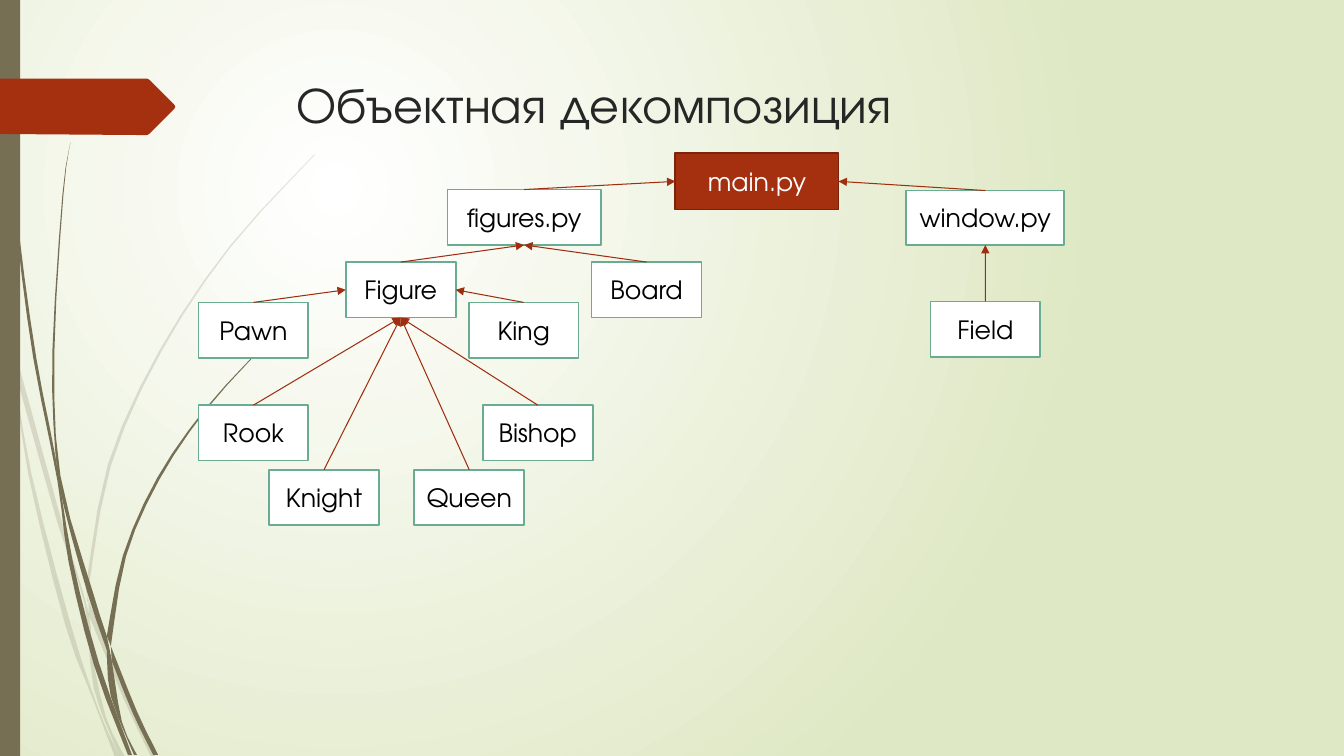
from lxml.etree import SubElement
from pptx import Presentation
from pptx.dml.color import RGBColor
from pptx.enum.shapes import MSO_CONNECTOR as Connector, MSO_SHAPE as Preset
from pptx.enum.text import MSO_ANCHOR as Anchor, PP_ALIGN as Align
from pptx.oxml.ns import qn
from pptx.util import Pt

COLORS = {
    "white": "FFFFFF", "green": "DFE8C4", "olive": "766F54", "red": "A53010",
    "dark red": "7A240C", "arrow": "9E2E0F", "teal": "6AAC91",
    "title": "262626", "black": "000000",
}
FONT = "TeX Gyre Adventor"
TITLE = "Объектная декомпозиция"

# Class boxes share one size: name -> (left, top) in points
BOX_SIZE = (78.5, 39.6)
CLASSES = {
    "Figure": (247, 187.2), "King": (334.8, 216), "Rook": (141.8, 289.4),
    "Pawn": (141.8, 216), "Bishop": (344.9, 289.4), "Knight": (192.2, 335.5),
    "Queen": (295.9, 335.5), "Board": (422.6, 187.2), "Field": (664.6, 215.3),
}
# Modules: name -> (left, top, width, height) in points
MODULES = {
    "figures.py": (319.7, 135.4, 109.4, 39.6),
    "window.py": (647.3, 136.1, 113, 38.9),
    "main.py": (482.4, 109.4, 116.6, 40.3),
}
# Every arrow leaves the top of a box: (from, to, side of the target)
LEFT, BOTTOM, RIGHT = 1, 2, 3
ARROWS = [
    ("Pawn", "Figure", LEFT), ("Queen", "Figure", BOTTOM),
    ("King", "Figure", RIGHT), ("Rook", "Figure", BOTTOM),
    ("Bishop", "Figure", BOTTOM), ("Knight", "Figure", BOTTOM),
    ("Figure", "figures.py", BOTTOM), ("Board", "figures.py", BOTTOM),
    ("Field", "window.py", BOTTOM), ("figures.py", "main.py", LEFT),
    ("window.py", "main.py", RIGHT),
]

# Grass blades: one edge, then the other edge back, in units of 0.72 pt
UNIT = 0.72
PALE_BLADES = [
    ([(0, 299), (11, 350), (28, 470), (65, 621), (92, 693), (114, 751)],
     [(119, 751), (99, 707), (70, 619), (31, 469), (11, 350), (0, 282)]),
    ([(17, 376), (58, 522), (84, 599), (93, 683), (119, 751)],
     [(124, 751), (105, 711), (91, 646), (88, 608), (62, 520), (14, 345)]),
    ([(88, 610), (123, 694), (150, 751)],
     [(155, 751), (127, 692), (88, 596)]),
    ([(88, 596), (88, 584), (110, 462), (160, 349), (229, 245), (312, 154)],
     [(312, 153), (228, 244), (158, 348), (107, 461), (85, 584)]),
]
DARK_BLADES = [
    ([(3, 0), (7, 110), (17, 233), (33, 355), (57, 477), (68, 557), (93, 659),
      (127, 749)],
     [(131, 749), (98, 657), (72, 556), (55, 453), (36, 355), (19, 232),
      (8, 109), (4, 0)]),
    ([(70, 141), (62, 193), (52, 349), (55, 449), (64, 505), (88, 592),
      (106, 645)],
     [(106, 631), (93, 590), (60, 472), (54, 349), (63, 193), (70, 141)]),
    ([(106, 645), (110, 691), (133, 749)],
     [(136, 749), (121, 716), (111, 656), (106, 631)]),
    ([(111, 656), (132, 708), (152, 749)],
     [(157, 749), (136, 706), (110, 641)]),
    ([(110, 641), (125, 552), (158, 476), (205, 406), (261, 344)],
     [(260, 344), (204, 405), (156, 474), (122, 551), (106, 631)]),
]
PENNANT = [(0, 78), (146, 78), (148, 79), (173, 104), (174, 106), (173, 108),
           (148, 133), (146, 134), (136, 134), (0, 133)]


def rgb(name):
    return RGBColor.from_string(COLORS[name])


def smooth(points, steps=3):
    """Return points along a Catmull-Rom curve through the given points."""
    padded = [points[0], *points, points[-1]]
    curve = []
    for a, b, c, d in zip(padded, padded[1:], padded[2:], padded[3:]):
        for step in range(steps):
            t = step / steps
            curve.append(tuple(
                q + t / 2 * (r - p + t * (2 * p - 5 * q + 4 * r - s
                                          + t * (3 * (q - r) + s - p)))
                for p, q, r, s in zip(a, b, c, d)))
    return curve + [points[-1]]


def paint(shape, fill, line=None, alpha=None):
    shape.shadow.inherit = False
    shape.fill.solid()
    shape.fill.fore_color.rgb = rgb(fill)
    if alpha:
        color = shape._element.spPr.find(qn("a:solidFill"))[0]
        SubElement(color, qn("a:alpha"), val=str(alpha * 1000))
    if line:
        shape.line.color.rgb = rgb(line)
        shape.line.width = Pt(1.25)
    else:
        shape.line.fill.background()


def add_outline(slide, points, fill, alpha=None):
    corners = [(Pt(x * UNIT), Pt(y * UNIT)) for x, y in points]
    builder = slide.shapes.build_freeform(*corners[0])
    builder.add_line_segments(corners[1:], close=True)
    paint(builder.convert_to_shape(), fill, alpha=alpha)


def write(shape, text, size=18, color="black", align=Align.CENTER, anchor=Anchor.MIDDLE):
    frame = shape.text_frame
    frame.word_wrap = True
    frame.vertical_anchor = anchor
    paragraph = frame.paragraphs[0]
    paragraph.alignment = align
    run = paragraph.add_run()
    run.text = text
    run.font.name = FONT
    run.font.size = Pt(size)
    run.font.color.rgb = rgb(color)


def add_rectangle(slide, *bounds):
    return slide.shapes.add_shape(Preset.RECTANGLE, *map(Pt, bounds))


def add_arrow(slide, source, target, side):
    arrow = slide.shapes.add_connector(Connector.STRAIGHT, 0, 0, 0, 0)
    arrow.begin_connect(source, 0)
    arrow.end_connect(target, side)
    arrow.line.color.rgb = rgb("arrow")
    arrow.line.width = Pt(0.75)
    SubElement(arrow.line._get_or_add_ln(), qn("a:tailEnd"), type="triangle")
    SubElement(arrow._element.spPr, qn("a:effectLst"))


def set_background(slide):
    """Fill with a round gradient whose centre is in the upper left."""
    fill = slide.background.fill
    fill.gradient()
    for stop, name in zip(fill.gradient_stops, ("white", "green")):
        stop.color.rgb = rgb(name)
    gradient = slide._element.find(".//" + qn("a:gradFill"))
    linear = gradient.find(qn("a:lin"))
    circle = SubElement(gradient, qn("a:path"), path="circle")
    SubElement(circle, qn("a:fillToRect"), l="50000", t="50000", r="100000", b="100000")
    gradient.replace(linear, circle)


def main():
    presentation = Presentation()
    presentation.slide_width, presentation.slide_height = Pt(960), Pt(540)
    slide = presentation.slides.add_slide(presentation.slide_layouts[6])
    set_background(slide)

    for blades, alpha in ((PALE_BLADES, 20), (DARK_BLADES, None)):
        for edge, edge_back in blades:
            add_outline(slide, smooth(edge) + smooth(edge_back), "olive", alpha)
    paint(add_rectangle(slide, 0, 0, 14.4, 540), "olive")
    add_outline(slide, PENNANT, "red")

    title = slide.shapes.add_textbox(Pt(204.5), Pt(49), Pt(702), Pt(100.8))
    write(title, TITLE, size=36, color="title", align=Align.LEFT, anchor=Anchor.TOP)

    bounds = {name: place + BOX_SIZE for name, place in CLASSES.items()} | MODULES
    boxes = {}
    for name, place in bounds.items():
        fill, line, color = (("red", "dark red", "white") if name == "main.py"
                             else ("white", "teal", "black"))
        boxes[name] = add_rectangle(slide, *place)
        paint(boxes[name], fill, line)
        write(boxes[name], name, color=color)
    for source, target, side in ARROWS:
        add_arrow(slide, boxes[source], boxes[target], side)

    presentation.save("out.pptx")


if __name__ == "__main__":
    main()
